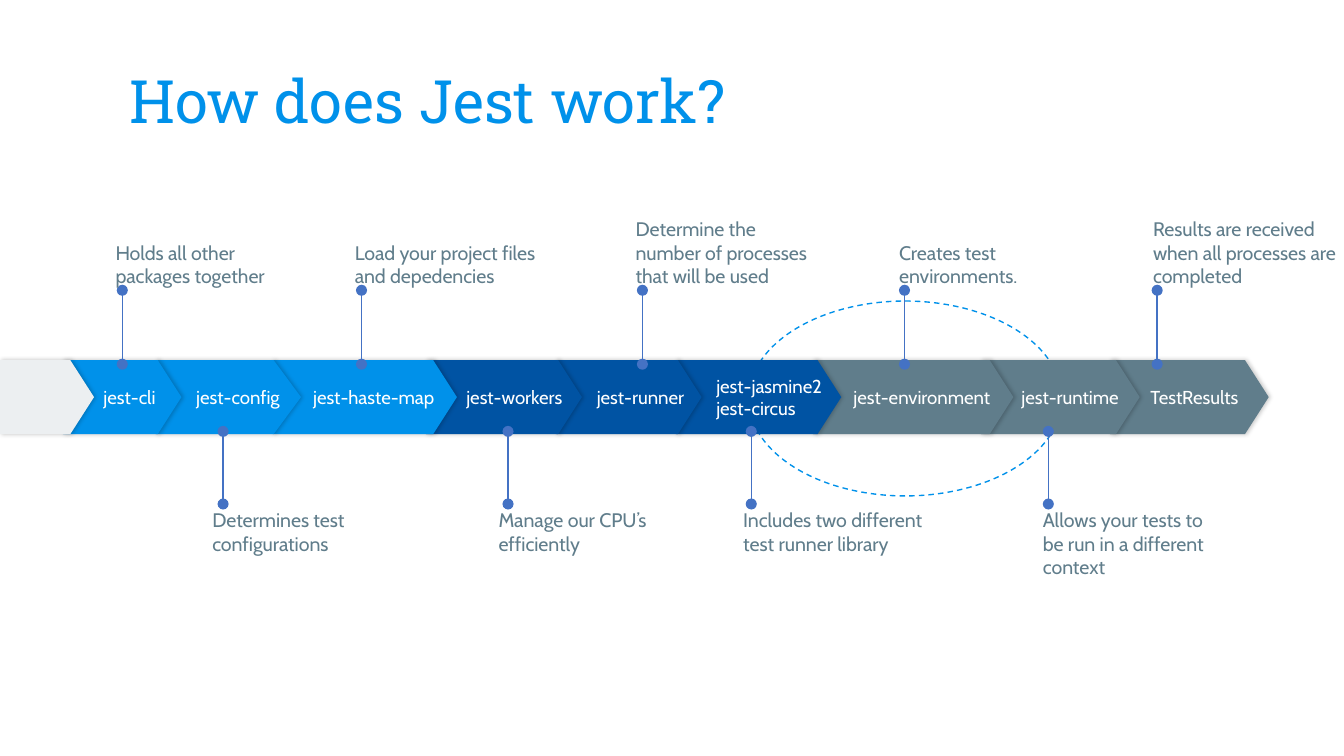
from dataclasses import dataclass

from lxml import etree
from pptx import Presentation
from pptx.dml.color import RGBColor
from pptx.enum.dml import MSO_LINE
from pptx.enum.shapes import MSO_CONNECTOR, MSO_SHAPE
from pptx.enum.text import MSO_ANCHOR, MSO_AUTO_SIZE, PP_ALIGN
from pptx.oxml import parse_xml
from pptx.oxml.ns import nsdecls, qn
from pptx.util import Inches, Pt


@dataclass(frozen=True)
class Theme:
    sky: RGBColor = RGBColor(0x00, 0x91, 0xEA)
    navy: RGBColor = RGBColor(0x00, 0x53, 0xA3)
    slate: RGBColor = RGBColor(0x60, 0x7D, 0x8B)
    mist: RGBColor = RGBColor(0xEC, 0xEF, 0xF1)
    pin: RGBColor = RGBColor(0x44, 0x72, 0xC4)
    white: RGBColor = RGBColor(0xFF, 0xFF, 0xFF)
    heading_font: str = "Roboto Slab"
    body_font: str = "Cabin"
    title_size: float = 32
    note_size: float = 10.5
    step_size: float = 10
    line_width: float = 0.75


@dataclass(frozen=True)
class Step:
    left: float
    width: float
    color: RGBColor
    name: str = ""
    point: float = 0.32


@dataclass(frozen=True)
class Note:
    pin_x: float
    left: float
    text: str


@dataclass(frozen=True)
class NoteRow:
    pin_start: float
    pin_end: float
    top: float
    anchor: MSO_ANCHOR


THEME = Theme()
SLIDE_WIDTH = 10
SLIDE_HEIGHT = SLIDE_WIDTH * 9 / 16
STEP_TOP, STEP_HEIGHT = 2.68, 0.55
NOTE_WIDTH, NOTE_HEIGHT = 1.37, 0.58

STEPS = [
    Step(0, 0.7, THEME.mist),
    Step(0.47, 0.88, THEME.sky, "jest-cli"),
    Step(1.16, 1.08, THEME.sky, "jest-config", 0.37),
    Step(2.03, 1.37, THEME.sky, "jest-haste-map"),
    Step(3.17, 1.16, THEME.navy, "jest-workers"),
    Step(4.14, 1.08, THEME.navy, "jest-runner"),
    Step(5.03, 1.23, THEME.navy, "jest-jasmine2\njest-circus"),
    Step(6.05, 1.49, THEME.slate, "jest-environment"),
    Step(7.3, 1.18, THEME.slate, "jest-runtime"),
    Step(8.26, 1.18, THEME.slate, "TestResults"),
]

ABOVE = NoteRow(2.71, 2.16, 1.56, MSO_ANCHOR.BOTTOM)
BELOW = NoteRow(3.75, 3.21, 3.78, MSO_ANCHOR.TOP)
NOTES = {
    ABOVE: [
        Note(0.91, 0.86, "Holds all other packages together"),
        Note(2.69, 2.64, "Load your project files and depedencies"),
        Note(4.78, 4.73, "Determine the number of processes that will be used"),
        Note(6.73, 6.69, "Creates test environments."),
        Note(8.61, 8.58, "Results are received when all processes are completed"),
    ],
    BELOW: [
        Note(1.66, 1.58, "Determines test configurations"),
        Note(3.78, 3.71, "Manage our CPU’s efficiently"),
        Note(5.59, 5.53, "Includes two different test runner library"),
        Note(7.8, 7.76, "Allows your tests to be run in a different context"),
    ],
}


def write_text(frame, text: str, font_name: str, size: float, color: RGBColor,
               anchor: MSO_ANCHOR, left_inset: float = 0, inset: float = 0) -> None:
    frame.word_wrap = True
    frame.auto_size = MSO_AUTO_SIZE.NONE
    frame.vertical_anchor = anchor
    frame.margin_left = Inches(left_inset)
    frame.margin_top = frame.margin_right = frame.margin_bottom = Inches(inset)
    frame.text = text
    for paragraph in frame.paragraphs:
        paragraph.alignment = PP_ALIGN.LEFT
        paragraph.font.name = font_name
        paragraph.font.size = Pt(size)
        paragraph.font.color.rgb = color


def add_soft_shadow(shape) -> None:
    shape.shadow.inherit = False
    effects = shape._element.spPr.find(qn("a:effectLst"))
    effects.append(parse_xml(
        f'<a:outerShdw {nsdecls("a")} blurRad="{Pt(2.2)}" dist="{Pt(0.8)}" dir="0">'
        '<a:srgbClr val="000000"><a:alpha val="20000"/></a:srgbClr></a:outerShdw>'))


def draw_title(slide, text: str) -> None:
    title = slide.shapes.title
    title.left, title.top = Inches(0.86), Inches(0.34)
    title.width, title.height = Inches(8.28), Inches(0.77)
    write_text(title.text_frame, text, THEME.heading_font, THEME.title_size,
               THEME.sky, MSO_ANCHOR.BOTTOM, 0.1, 0.1)


def draw_loop(slide) -> None:
    loop = slide.shapes.add_shape(MSO_SHAPE.OVAL, Inches(5.57), Inches(2.24),
                                  Inches(2.33), Inches(1.45))
    loop.shadow.inherit = False
    loop.fill.background()
    loop.line.color.rgb = THEME.sky
    loop.line.width = Pt(THEME.line_width)
    loop.line.dash_style = MSO_LINE.DASH


def draw_step(slide, step: Step) -> None:
    arrow = slide.shapes.add_shape(MSO_SHAPE.PENTAGON, Inches(step.left), Inches(STEP_TOP),
                                   Inches(step.width), Inches(STEP_HEIGHT))
    arrow.adjustments[0] = step.point
    arrow.fill.solid()
    arrow.fill.fore_color.rgb = step.color
    arrow.line.fill.background()
    add_soft_shadow(arrow)
    if step.name:
        write_text(arrow.text_frame, step.name, THEME.body_font, THEME.step_size,
                   THEME.white, MSO_ANCHOR.MIDDLE, left_inset=0.3)


def draw_note(slide, note: Note, row: NoteRow) -> None:
    pin = slide.shapes.add_connector(MSO_CONNECTOR.STRAIGHT,
                                     Inches(note.pin_x), Inches(row.pin_start),
                                     Inches(note.pin_x), Inches(row.pin_end))
    pin.line.color.rgb = THEME.pin
    pin.line.width = Pt(THEME.line_width)
    for end in ("a:headEnd", "a:tailEnd"):
        etree.SubElement(pin.line._get_or_add_ln(), qn(end), type="oval")
    etree.SubElement(pin._element.spPr, qn("a:effectLst"))

    box = slide.shapes.add_textbox(Inches(note.left), Inches(row.top),
                                   Inches(NOTE_WIDTH), Inches(NOTE_HEIGHT))
    write_text(box.text_frame, note.text, THEME.body_font, THEME.note_size,
               THEME.slate, row.anchor)


def main() -> None:
    deck = Presentation()
    deck.slide_width, deck.slide_height = Inches(SLIDE_WIDTH), Inches(SLIDE_HEIGHT)
    slide = deck.slides.add_slide(deck.slide_layouts[5])

    draw_title(slide, "How does Jest work?")
    draw_loop(slide)

    # Each step overlaps the one to its right, so draw from the right
    for step in reversed(STEPS):
        draw_step(slide, step)

    # Pinned notes above and below the steps
    for row, notes in NOTES.items():
        for note in notes:
            draw_note(slide, note, row)

    deck.save("out.pptx")


if __name__ == "__main__":
    main()
